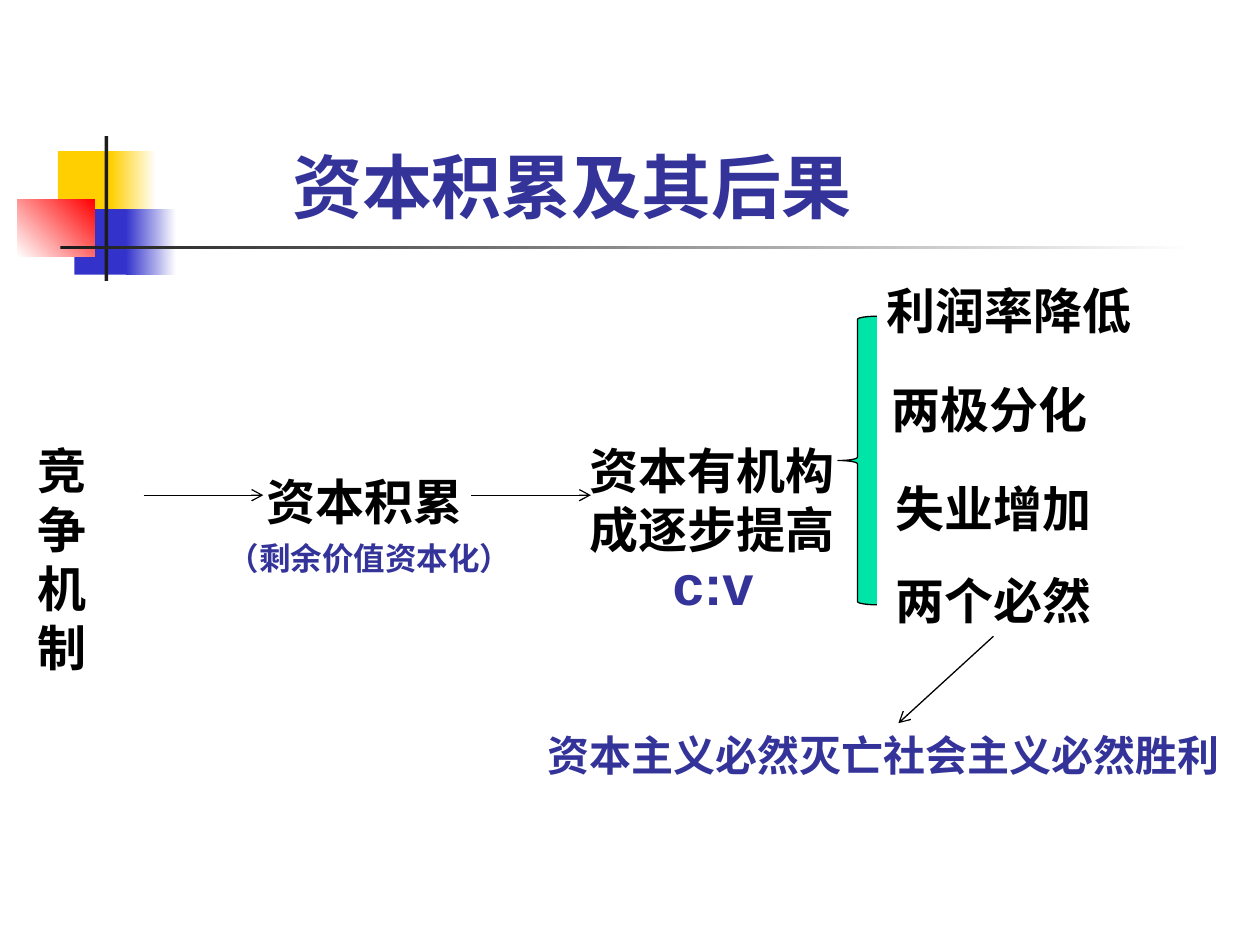
from dataclasses import dataclass
from typing import Optional

import pptx
import pptx.dml.color
import pptx.enum.shapes
import pptx.enum.text
import pptx.util
from pptx.util import Inches
from lxml import etree

COLORS = {
    "yellow": "FFCF01",
    "blue": "3333CC",
    "red": "FF0000",
    "white": "FFFFFF",
    "charcoal": "1C1C1C",
    "navy": "333399",
    "black": "000000",
    "green": "00E4A8",
}
DRAWING = "http://schemas.openxmlformats.org/drawingml/2006/main"
SHAPES = pptx.enum.shapes.MSO_SHAPE


@dataclass
class Block:
    left: float
    top: float
    width: float
    height: float
    color: str
    end_color: Optional[str] = None
    angle: float = 0


@dataclass
class Label:
    text: str
    left: float
    top: float
    width: float
    height: float
    size: int = 28
    color: str = "black"


@dataclass
class Arrow:
    start: tuple[float, float]
    end: tuple[float, float]
    source: Optional[str] = None


BLOCKS = [
    Block(0.46, 1.2, 0.48, 0.52, "yellow"),
    Block(0.88, 1.2, 0.36, 0.52, "yellow", "white"),
    Block(0.59, 1.66, 0.46, 0.52, "blue"),
    Block(1, 1.66, 0.4, 0.52, "blue", "white"),
    Block(0.14, 1.58, 0.61, 0.46, "white", "red", 45),
    Block(0.83, 1.08, 0.03, 1.15, "charcoal"),
    Block(0.48, 1.95, 9, 0.03, "charcoal", "white"),
]

LABELS = [
    Label("资本积累及其后果", 2.22, 1.09, 4.64, 0.77, 40, "navy"),
    Label("竞争\n机制", 0.2, 3.45, 0.97, 1.04),
    Label("资本积累", 2.02, 3.69, 1.75, 0.57),
    Label("（剩余价值资本化）", 1.71, 4.23, 2.45, 0.4, 18, "navy"),
    Label("资本有机构\n成逐步提高", 4.58, 3.45, 2.14, 1.04),
    Label("c:v", 5.24, 4.31, 0.84, 0.64, 32, "navy"),
    Label("利润率降低", 6.94, 2.18, 2.14, 0.57),
    Label("两极分化", 6.98, 2.96, 1.75, 0.57),
    Label("失业增加", 7.01, 3.75, 1.75, 0.57),
    Label("两个必然", 7.01, 4.48, 1.75, 0.57),
    Label("资本主义必然灭亡社会主义必然胜利", 4.25, 5.74, 5.53, 0.5, 24, "navy"),
]

ARROWS = [
    Arrow((1.14, 3.93), (2.09, 3.93)),
    Arrow((3.74, 3.93), (4.69, 3.93)),
    Arrow((7.89, 5.05), (7.13, 5.74), "两个必然"),
]


def rgb(name: str) -> pptx.dml.color.RGBColor:
    return pptx.dml.color.RGBColor.from_string(COLORS[name])


def add_block(slide, block: Block) -> None:
    shape = slide.shapes.add_shape(
        SHAPES.RECTANGLE,
        Inches(block.left), Inches(block.top), Inches(block.width), Inches(block.height),
    )
    shape.shadow.inherit = False
    shape.line.fill.background()
    if block.end_color is None:
        shape.fill.solid()
        shape.fill.fore_color.rgb = rgb(block.color)
        return
    shape.fill.gradient()
    shape.fill.gradient_angle = block.angle
    for position, (stop, color) in enumerate(
        zip(shape.fill.gradient_stops, (block.color, block.end_color))
    ):
        stop.position = position
        stop.color.rgb = rgb(color)


def add_label(slide, label: Label):
    shape = slide.shapes.add_textbox(
        Inches(label.left), Inches(label.top), Inches(label.width), Inches(label.height)
    )
    frame = shape.text_frame
    frame.word_wrap = False
    frame.auto_size = pptx.enum.text.MSO_AUTO_SIZE.SHAPE_TO_FIT_TEXT
    frame.text = label.text
    for paragraph in frame.paragraphs:
        paragraph.font.name = "Arial"
        paragraph.font.size = pptx.util.Pt(label.size)
        paragraph.font.bold = True
        paragraph.font.color.rgb = rgb(label.color)
    return shape


def add_arrow(slide, arrow: Arrow, label_shapes: dict) -> None:
    connector = slide.shapes.add_connector(
        pptx.enum.shapes.MSO_CONNECTOR.STRAIGHT,
        *(Inches(value) for value in arrow.start + arrow.end),
    )
    if arrow.source is not None:
        connector.begin_connect(label_shapes[arrow.source], 2)
    connector.line.color.rgb = rgb("black")
    connector.line.width = pptx.util.Pt(0.75)
    line = connector.line._get_or_add_ln()
    etree.SubElement(line, f"{{{DRAWING}}}tailEnd", type="arrow")
    etree.SubElement(connector._element.spPr, f"{{{DRAWING}}}effectLst")


def add_brace(slide) -> None:
    brace = slide.shapes.add_shape(
        SHAPES.LEFT_BRACE, Inches(6.65), Inches(2.51), Inches(0.31), Inches(2.29)
    )
    brace.shadow.inherit = False
    brace.fill.solid()
    brace.fill.fore_color.rgb = rgb("green")
    brace.line.color.rgb = rgb("black")
    brace.line.width = pptx.util.Pt(0.75)


def main() -> None:
    presentation = pptx.Presentation()
    presentation.slide_width = Inches(10)
    presentation.slide_height = Inches(7.5)
    slide = presentation.slides.add_slide(presentation.slide_layouts[6])
    for block in BLOCKS:
        add_block(slide, block)
    label_shapes = {label.text: add_label(slide, label) for label in LABELS}
    for arrow in ARROWS:
        add_arrow(slide, arrow, label_shapes)
    add_brace(slide)
    presentation.save("out.pptx")


if __name__ == "__main__":
    main()
